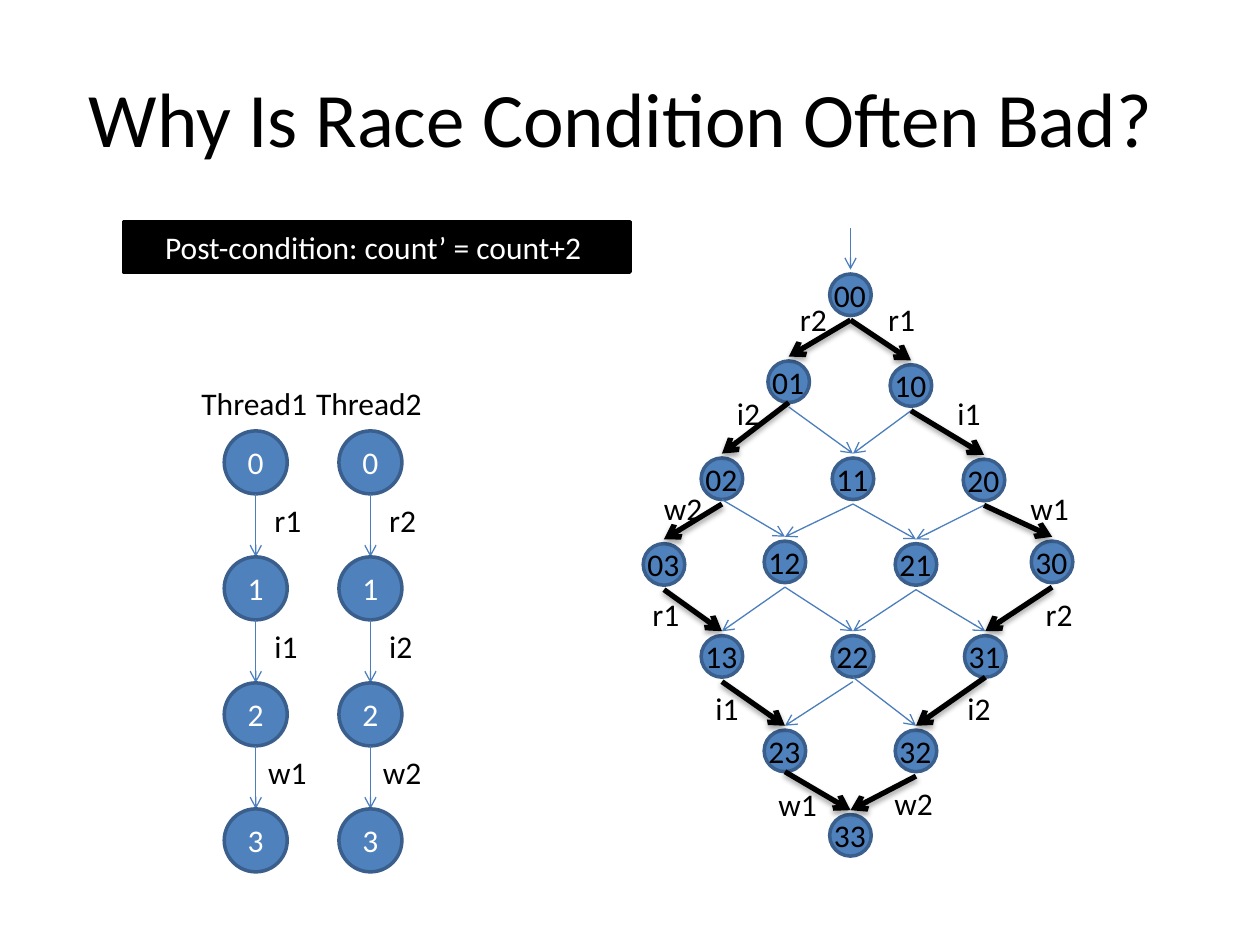
from lxml import etree
from pptx import Presentation
from pptx.dml.color import RGBColor
from pptx.enum import shapes, text
from pptx.oxml.ns import qn
from pptx.util import Inches, Pt

# Content
TITLE = "Why Is Race Condition Often Bad? "
POST_CONDITION = "Post-condition: count’ = count+2 "
STEPS = ("r", "i", "w")
THREADS = [(1, 2.03), (2, 2.94)]  # number, column centre

# Centre of each combined state: first digit is thread 1, second is thread 2
STATES = {
    "00": (6.75, 2.34), "01": (6.26, 3.03), "10": (7.23, 3.06),
    "02": (5.73, 3.80), "11": (6.77, 3.80), "20": (7.81, 3.81),
    "03": (5.27, 4.48), "12": (6.23, 4.46), "21": (7.27, 4.48),
    "30": (8.35, 4.46), "22": (6.77, 5.21), "31": (7.82, 5.21),
    "13": (5.73, 5.21), "23": (6.23, 5.96), "32": (7.27, 5.96),
    "33": (6.75, 6.63),
}
# Edges that leave from the circle itself rather than from just below it
CLOSE_EDGES = {("01", "02"), ("02", "12"), ("22", "32"), ("31", "32"), ("23", "33")}
# Step labels along the outer paths: label, left, top, width
PATH_LABELS = [
    ("r2", 6.25, 2.33, 0.47), ("i2", 5.75, 3.08, 0.47), ("w2", 5.17, 3.83, 0.58),
    ("r1", 5.08, 4.67, 0.47), ("i1", 5.58, 5.42, 0.47), ("w1", 6.08, 6.18, 0.72),
    ("r1", 6.95, 2.33, 0.47), ("i1", 7.50, 3.08, 0.47), ("w1", 8.08, 3.83, 0.58),
    ("r2", 8.20, 4.67, 0.47), ("i2", 7.58, 5.42, 0.47), ("w2", 7.00, 6.17, 0.58),
]

# Format
BLACK, WHITE = "000000", "FFFFFF"
BLUE, OUTLINE, THIN_LINE = "4F81BD", "3A5F8C", "4B7EBC"
TEXT_HEIGHT = 0.4
THREAD_TOP, THREAD_SIZE = 3.42, 0.5
STATE_SIZE, STATE_GAP = 0.33, 0.2


def rgb(value):
    return RGBColor.from_string(value)


def write(shape, words, size=18, color=BLACK, align=None, **frame_format):
    frame = shape.text_frame
    for name, value in frame_format.items():
        setattr(frame, name, value)
    paragraph = frame.paragraphs[0]
    paragraph.alignment = align
    run = paragraph.add_run()
    run.text = words
    for name, value in {"name": "Calibri", "size": Pt(size)}.items():
        setattr(run.font, name, value)
    run.font.color.rgb = rgb(color)


def label(parent, words, left, top, width, wrap=True):
    box = parent.add_textbox(*map(Inches, (left, top, width, TEXT_HEIGHT)))
    write(box, words, word_wrap=wrap, auto_size=text.MSO_AUTO_SIZE.SHAPE_TO_FIT_TEXT)


def solid(parent, kind, left, top, width, height, fill=BLUE, outline=OUTLINE):
    shape = parent.add_shape(kind, *map(Inches, (left, top, width, height)))
    shape.shadow.inherit = False
    shape.fill.solid()
    shape.fill.fore_color.rgb = rgb(fill)
    shape.line.color.rgb = rgb(outline)
    shape.line.width = Pt(2)
    return shape


def circle(parent, x, y, size):
    return solid(parent, shapes.MSO_SHAPE.OVAL, x - size / 2, y - size / 2, size, size)


def arrow(x1, y1, x2, y2, bold=False):
    line = canvas.add_connector(shapes.MSO_CONNECTOR.STRAIGHT,
                                *map(Inches, (x1, y1, x2, y2)))
    line.line.color.rgb = rgb(BLACK if bold else THIN_LINE)
    line.line.width = Pt(3 if bold else 0.75)
    properties = line._element.spPr
    etree.SubElement(properties.find(qn("a:ln")), qn("a:tailEnd"), type="arrow")
    effects = etree.SubElement(properties, qn("a:effectLst"))
    if bold:
        shadow = etree.SubElement(effects, qn("a:outerShdw"), blurRad=str(Pt(3.1)),
                                  dist=str(Pt(1.8)), dir="5400000", rotWithShape="0")
        color = etree.SubElement(shadow, qn("a:srgbClr"), val=BLACK)
        etree.SubElement(color, qn("a:alpha"), val="35000")


presentation = Presentation()
presentation.slide_width, presentation.slide_height = Inches(10), Inches(7.5)
slide = presentation.slides.add_slide(presentation.slide_layouts[5])
canvas = slide.shapes

# Title
title = canvas.title
for side, value in dict(left=0.5, top=0.3, width=9, height=1.25).items():
    setattr(title, side, Inches(value))
write(title, TITLE, size=44, align=text.PP_ALIGN.CENTER,
      vertical_anchor=text.MSO_ANCHOR.MIDDLE)

# One column of states per thread
for number, x in THREADS:
    label(canvas, f"Thread{number}", x - 0.53, 3, 1.05, wrap=False)
    for state in range(len(STEPS) + 1):
        top = THREAD_TOP + state * 2 * THREAD_SIZE
        node = circle(canvas, x, top + THREAD_SIZE / 2, THREAD_SIZE)
        write(node, str(state), color=WHITE, align=text.PP_ALIGN.CENTER,
              vertical_anchor=text.MSO_ANCHOR.MIDDLE)
        if state < len(STEPS):
            bottom = top + THREAD_SIZE
            arrow(x, bottom, x, bottom + THREAD_SIZE)
            step = STEPS[state]
            indent, width = (0, 0.6) if step == "w" else (0.05, 0.47)
            label(canvas, f"{step}{number}", x + indent, bottom + 0.01, width)

# Post-condition banner
banner = solid(canvas, shapes.MSO_SHAPE.RECTANGLE, 0.98, 1.76, 4.02, TEXT_HEIGHT,
               BLACK, BLACK)
write(banner, POST_CONDITION, color=WHITE, align=text.PP_ALIGN.CENTER,
      vertical_anchor=text.MSO_ANCHOR.TOP, word_wrap=True,
      auto_size=text.MSO_AUTO_SIZE.SHAPE_TO_FIT_TEXT)

# Combined states
for state, (x, y) in STATES.items():
    node = canvas.add_group_shape().shapes
    circle(node, x, y, STATE_SIZE)
    label(node, state, x - 0.23, y - STATE_GAP, 0.46, wrap=False)

# Transitions: bold where one thread runs while the other is at its start or end
start_x, start_y = STATES["00"]
arrow(start_x, 1.81, start_x, start_y - STATE_GAP)
for state, (x, y) in STATES.items():
    first, second = map(int, state)
    for following, waiting in ((f"{first}{second + 1}", first),
                               (f"{first + 1}{second}", second)):
        if following in STATES:
            gap = STATE_SIZE / 2 if (state, following) in CLOSE_EDGES else STATE_GAP
            next_x, next_y = STATES[following]
            arrow(x, y + gap, next_x, next_y - STATE_GAP, bold=waiting in (0, 3))

# Step labels on the outer paths
for path_label in PATH_LABELS:
    label(canvas, *path_label)

presentation.save("out.pptx")
